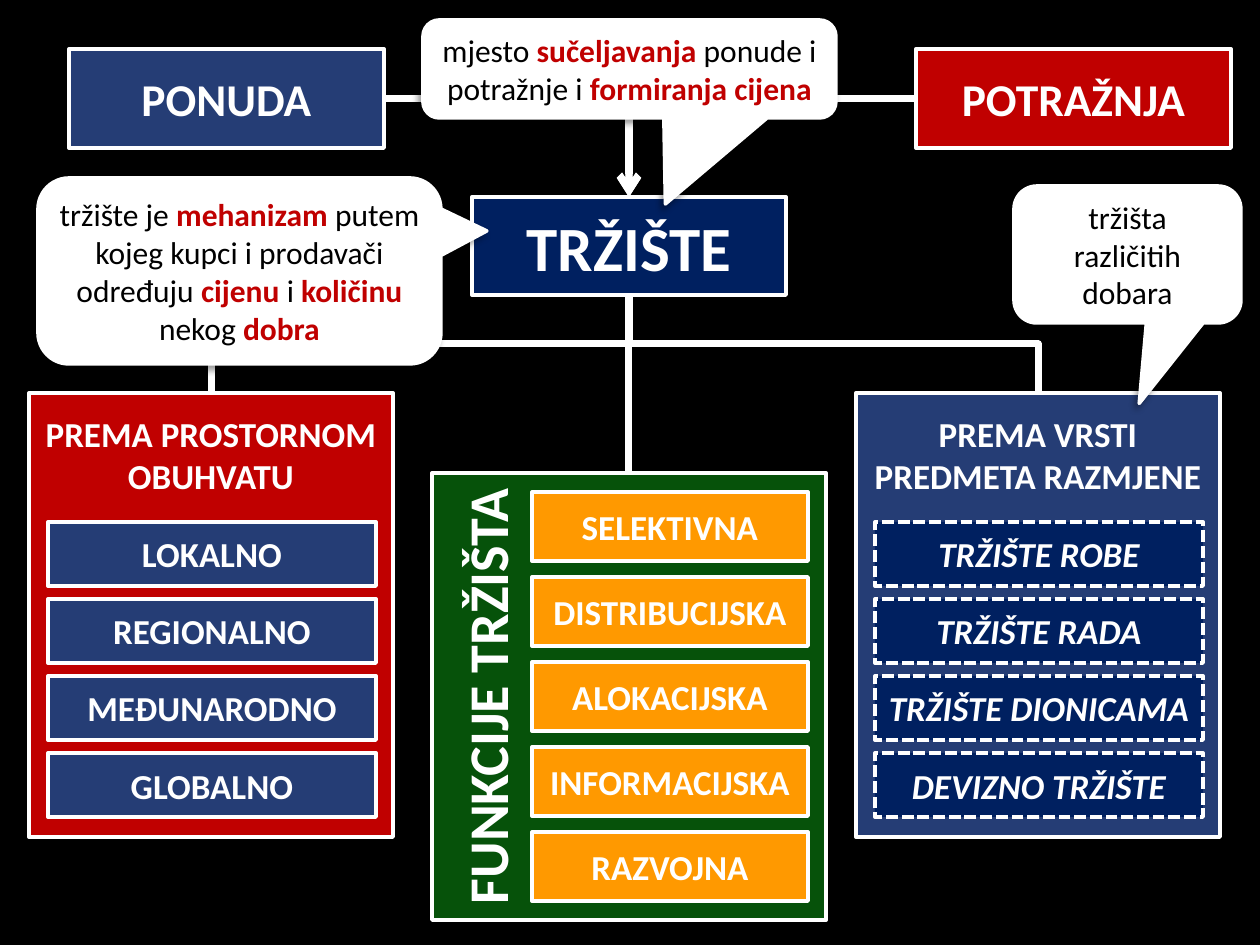
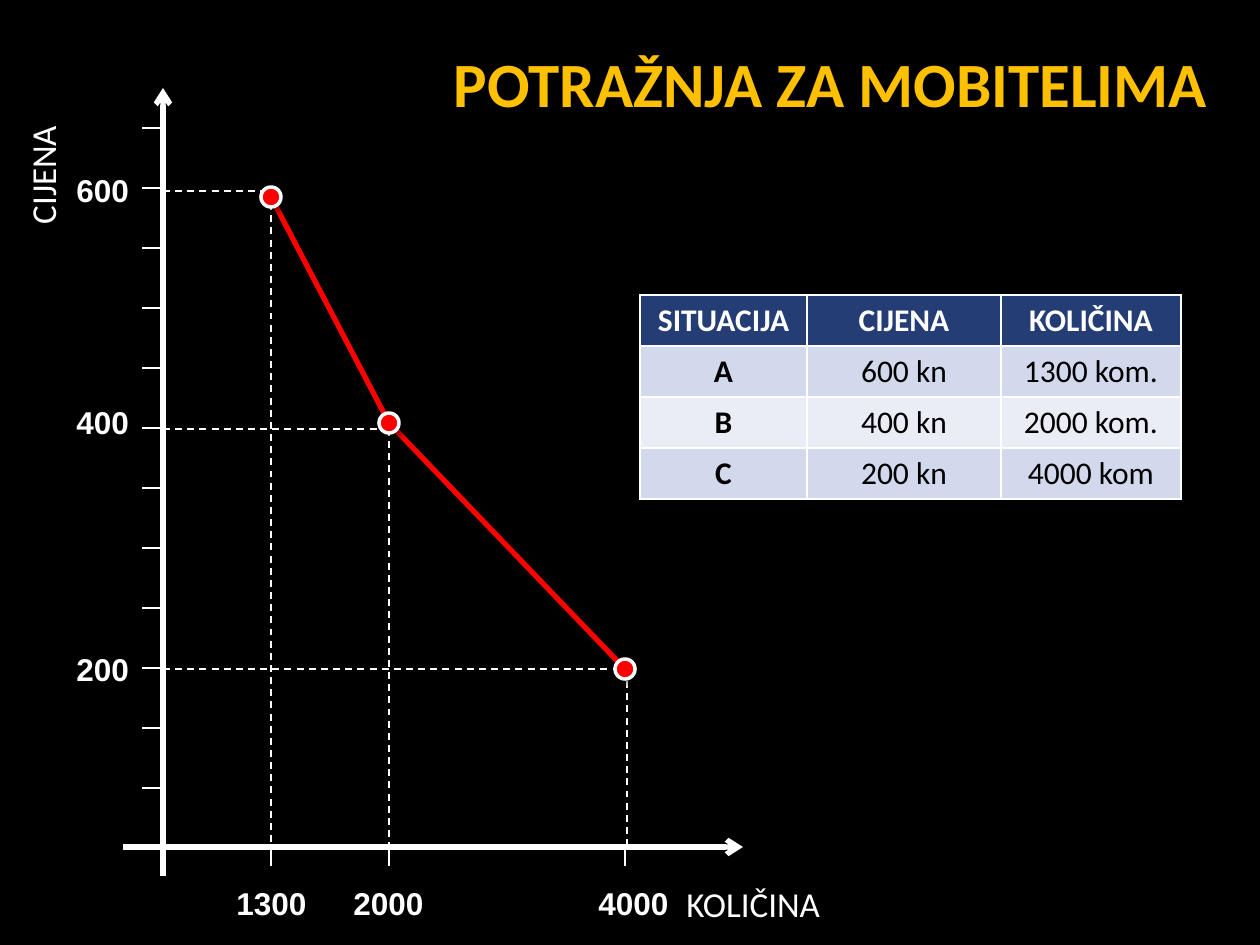
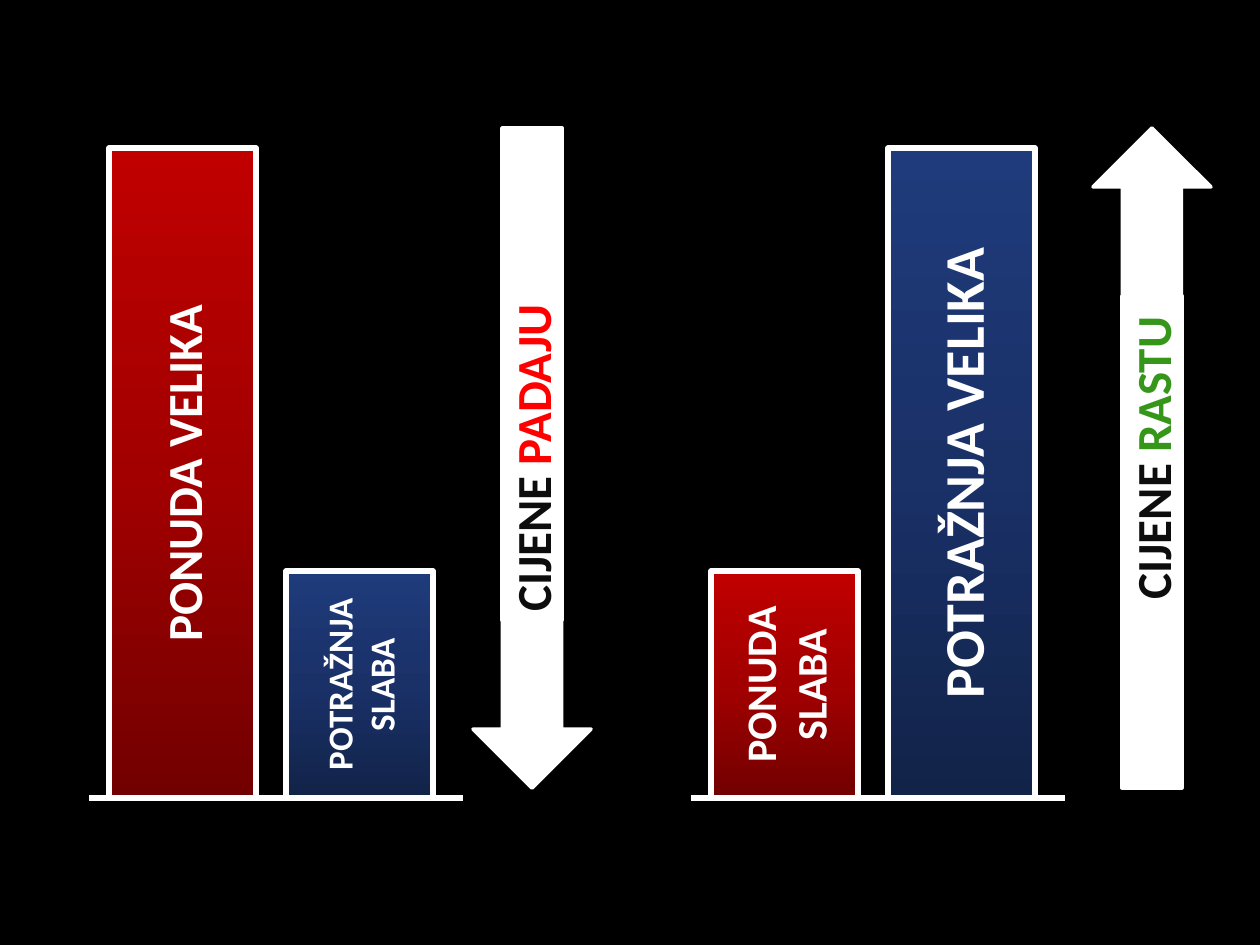
from dataclasses import dataclass, field

from lxml import etree
from pptx import Presentation
from pptx.dml.color import RGBColor
from pptx.enum.dml import MSO_LINE
from pptx.enum.shapes import MSO_CONNECTOR, MSO_SHAPE
from pptx.enum.text import MSO_ANCHOR, PP_ALIGN
from pptx.oxml.ns import qn
from pptx.util import Emu, Pt

EMU_PER_PX = 914400 / 126
TITLE_ONLY, BLANK = 5, 6
TOP, LEFT, BOTTOM, RIGHT = range(4)

STRAIGHT, ELBOW = MSO_CONNECTOR.STRAIGHT, MSO_CONNECTOR.ELBOW
RECTANGLE, OVAL = MSO_SHAPE.RECTANGLE, MSO_SHAPE.OVAL
CALLOUT = MSO_SHAPE.ROUNDED_RECTANGULAR_CALLOUT
UP_ARROW, DOWN_ARROW = MSO_SHAPE.UP_ARROW, MSO_SHAPE.DOWN_ARROW
DASH, SHORT_DASH = MSO_LINE.DASH, MSO_LINE.SQUARE_DOT
ALIGN_LEFT, ALIGN_CENTER, ALIGN_RIGHT = PP_ALIGN.LEFT, PP_ALIGN.CENTER, PP_ALIGN.RIGHT
ANCHOR_TOP, ANCHOR_MIDDLE = MSO_ANCHOR.TOP, MSO_ANCHOR.MIDDLE

BLACK, WHITE, INK = "000000", "FFFFFF", "0D0D0D"
BLUE, NAVY, RED, GREEN, ORANGE = "253D75", "002060", "C00000", "06520A", "FF9900"
BRIGHT_RED, LEAF, GOLD = "FF0000", "35961A", "FFC000"
ROW_TINTS = ("D3D9ED", "EAEDF6")
RED_STOPS = ("720000", "A20000", "C00000")
BLUE_STOPS = ("122349", "1A3168", "1F3B7B")


@dataclass
class TextStyle:
    """Look of a text; accent colours every second piece between "|" marks."""
    size: int = 20
    color: str = WHITE
    bold: bool = True
    italic: bool = False
    name: str = "Calibri"
    accent: str = RED
    align: int = ALIGN_CENTER
    anchor: int = ANCHOR_MIDDLE
    upward: bool = False
    wrap: bool = True
    margins: dict = field(default_factory=dict)


@dataclass
class Block:
    left: int
    top: int
    width: int
    height: int
    fill: str | tuple = ""
    text: str = ""
    style: TextStyle = field(default_factory=TextStyle)
    shape: int = RECTANGLE
    border: float = 2.25
    dash: int | None = None
    shadow_angle: int | None = None
    adjustments: tuple = ()

    def frame(self) -> tuple:
        return tuple(emu(px) for px in (self.left, self.top, self.width, self.height))


@dataclass
class Group:
    """A panel and its evenly spaced items."""
    panel: Block
    first: Block
    pitch: int
    names: tuple


@dataclass
class Point:
    x: int
    y: int
    guide_x: int
    guide_y: int
    quantity: str
    quantity_left: int
    price: str
    price_top: int


def emu(px: float) -> Emu:
    return Emu(round(px * EMU_PER_PX))


def rgb(color: str) -> RGBColor:
    return RGBColor.from_string(color)


def set_all(target, values: dict) -> None:
    for name, value in values.items():
        setattr(target, name, value)


def write(frame, text: str, style: TextStyle) -> None:
    set_all(frame, {"word_wrap": style.wrap, "vertical_anchor": style.anchor})
    set_all(frame, {name: emu(px) for name, px in style.margins.items()})
    if style.upward:
        frame._txBody.bodyPr.set("vert", "vert270")
    para = frame.paragraphs[0]
    para.alignment = style.align
    for index, piece in enumerate(text.split("|")):
        accented = index % 2 == 1
        span = para.add_run()
        span.text = piece
        set_all(span.font, {"name": style.name, "size": Pt(style.size),
                            "bold": style.bold or accented, "italic": style.italic})
        span.font.color.rgb = rgb(style.accent if accented else style.color)


def style_line(line, color: str, width: float, dash: int | None = None) -> None:
    line.color.rgb = rgb(color)
    line.width = Pt(width)
    if dash is not None:
        line.dash_style = dash


def paint_gradient(shape, stops: tuple) -> None:
    """Spread the stops evenly from the bottom up."""
    shape.fill.gradient()
    shape.fill.gradient_angle = 90
    stop_list = shape._element.spPr.find(".//" + qn("a:gsLst"))
    for old in list(stop_list):
        stop_list.remove(old)
    for index, color in enumerate(stops):
        position = 100000 * index // (len(stops) - 1)
        stop = etree.SubElement(stop_list, qn("a:gs"), pos=str(position))
        etree.SubElement(stop, qn("a:srgbClr"), val=color)


def add_shadow(shape, angle: int) -> None:
    effects = shape._element.spPr.find(qn("a:effectLst"))
    shadow = etree.SubElement(effects, qn("a:outerShdw"), blurRad=str(Pt(4)), dist=str(Pt(3)),
                              dir=str(angle * 60000), algn="ctr", rotWithShape="0")
    color = etree.SubElement(shadow, qn("a:srgbClr"), val=BLACK)
    etree.SubElement(color, qn("a:alpha"), val="40000")


def draw_block(slide, block: Block):
    shape = slide.shapes.add_shape(block.shape, *block.frame())
    shape.shadow.inherit = False
    for index, value in enumerate(block.adjustments):
        shape.adjustments[index] = value
    if isinstance(block.fill, tuple):
        paint_gradient(shape, block.fill)
    else:
        shape.fill.solid()
        shape.fill.fore_color.rgb = rgb(block.fill)
    style_line(shape.line, WHITE, block.border, block.dash)
    if block.shadow_angle is not None:
        add_shadow(shape, block.shadow_angle)
    if block.text:
        write(shape.text_frame, block.text, block.style)
    return shape


def draw_text(slide, block: Block) -> None:
    box = slide.shapes.add_textbox(*block.frame())
    write(box.text_frame, block.text, block.style)


def finish_connector(connector, width: float, dash: int | None = None, arrow: bool = False) -> None:
    style_line(connector.line, WHITE, width, dash)
    properties = connector._element.spPr
    if arrow:
        etree.SubElement(properties.find(qn("a:ln")), qn("a:tailEnd"), type="arrow")
    etree.SubElement(properties, qn("a:effectLst"))


def draw_line(slide, start: tuple, end: tuple, width: float, **options) -> None:
    ends = [emu(px) for px in (*start, *end)]
    finish_connector(slide.shapes.add_connector(STRAIGHT, *ends), width, **options)


def join(slide, start, start_side: int, end, end_side: int, kind: int, arrow: bool = False):
    connector = slide.shapes.add_connector(kind, 0, 0, 0, 0)
    connector.begin_connect(start, start_side)
    connector.end_connect(end, end_side)
    finish_connector(connector, 4, arrow=arrow)
    return connector


def make_single_bend(connector) -> None:
    connector._element.spPr.find(qn("a:prstGeom")).set("prst", "bentConnector2")


def make_vertical(connector) -> None:
    """Turn an elbow by 90 degrees so that it leaves and arrives vertically."""
    begin_x, begin_y = connector.begin_x, connector.begin_y
    end_x, end_y = connector.end_x, connector.end_y
    middle_x, middle_y = (begin_x + end_x) // 2, (begin_y + end_y) // 2
    set_all(connector, {
        "begin_x": middle_x + begin_y - middle_y, "begin_y": middle_y - begin_x + middle_x,
        "end_x": middle_x + end_y - middle_y, "end_y": middle_y - end_x + middle_x})
    connector._element.spPr.find(qn("a:xfrm")).set("rot", "5400000")


def draw_group(slide, group: Group):
    panel = draw_block(slide, group.panel)
    first = group.first
    for index, name in enumerate(group.names):
        draw_block(slide, Block(first.left, first.top + index * group.pitch, first.width,
                                first.height, first.fill, name, first.style, dash=first.dash))
    return panel


def build_market(deck) -> None:
    slide = deck.slides.add_slide(deck.slide_layouts[BLANK])
    heading = TextStyle(26)
    panel_style = TextStyle(20, anchor=ANCHOR_TOP, margins={"margin_top": 20})
    functions_style = TextStyle(32, anchor=ANCHOR_TOP, upward=True, margins={
        "margin_left": 20, "margin_top": 13, "margin_right": 6, "margin_bottom": 13})

    supply = draw_block(slide, Block(69, 49, 315, 99, BLUE, "PONUDA", heading))
    demand = draw_block(slide, Block(916, 49, 315, 99, RED, "POTRAŽNJA", heading))
    market = draw_block(slide, Block(472, 197, 314, 98, NAVY, "TRŽIŠTE", TextStyle(36)))
    by_area, by_goods, functions = [draw_group(slide, group) for group in (
        Group(Block(29, 393, 364, 444, RED, "PREMA PROSTORNOM OBUHVATU", panel_style),
              Block(48, 522, 328, 64, BLUE), 77,
              ("LOKALNO", "REGIONALNO", "MEĐUNARODNO", "GLOBALNO")),
        Group(Block(856, 393, 364, 444, BLUE, "PREMA VRSTI PREDMETA RAZMJENE", panel_style),
              Block(875, 522, 328, 64, NAVY, style=TextStyle(italic=True), dash=SHORT_DASH), 77,
              ("TRŽIŠTE ROBE", "TRŽIŠTE RADA", "TRŽIŠTE DIONICAMA", "DEVIZNO TRŽIŠTE")),
        Group(Block(432, 473, 394, 447, GREEN, "FUNKCIJE TRŽIŠTA", functions_style),
              Block(532, 492, 276, 69, ORANGE), 85,
              ("SELEKTIVNA", "DISTRIBUCIJSKA", "ALOKACIJSKA", "INFORMACIJSKA", "RAZVOJNA")))]

    join(slide, market, BOTTOM, functions, TOP, STRAIGHT)
    for side_box, side in ((supply, RIGHT), (demand, LEFT)):
        make_single_bend(join(slide, side_box, side, market, TOP, ELBOW, arrow=True))
    for panel in (by_area, by_goods):
        make_vertical(join(slide, market, BOTTOM, panel, TOP, ELBOW))

    for frame, text, tip in (
            ((1014, 186, 227, 137), "tržišta različitih dobara", (0.052, 1.087)),
            ((38, 178, 403, 186), "tržište je |mehanizam |putem kojeg kupci i prodavači određuju "
             "|cijenu |i |količinu |nekog |dobra", (0.614, -0.215)),
            ((423, 20, 413, 98), "mjesto |sučeljavanja |ponude i potražnje i "
             "|formiranja cijena", (0.087, 1.378))):
        draw_block(slide, Block(*frame, WHITE, text, TextStyle(18, BLACK, bold=False), CALLOUT, 2,
                                shadow_angle=135, adjustments=(*tip, 0.167)))


def draw_demand_curve(slide) -> None:
    axis_x, axis_y = 163, 847
    points = (Point(271, 197, 271, 191, "1300", 224, "600", 165),
              Point(389, 423, 389, 429, "2000", 341, "400", 397),
              Point(625, 669, 627, 669, "4000", 586, "200", 644))
    number = TextStyle(18, name="Arial", align=ALIGN_LEFT, anchor=ANCHOR_TOP, wrap=False)

    draw_line(slide, (axis_x, 876), (axis_x, 88), 3, arrow=True)
    draw_line(slide, (123, axis_y), (743, axis_y), 3, arrow=True)
    for y in range(128, 800, 60):
        draw_line(slide, (axis_x, y), (142, y), 0.75)
    for start, end in zip(points, points[1:]):
        builder = slide.shapes.build_freeform(emu(start.x), emu(start.y))
        builder.add_line_segments([(emu(end.x), emu(end.y))], close=False)
        segment = builder.convert_to_shape()
        segment.shadow.inherit = False
        segment.fill.background()
        style_line(segment.line, BRIGHT_RED, 3)
    for point in points:
        corner = (point.guide_x, point.guide_y)
        draw_line(slide, (point.x, axis_y), (point.x, 866), 0.75)
        draw_line(slide, (axis_x, point.guide_y), corner, 1, dash=DASH)
        draw_line(slide, corner, (point.guide_x, axis_y), 1, dash=DASH)
        draw_block(slide, Block(point.x - 10, point.y - 10, 20, 20, BRIGHT_RED, shape=OVAL,
                                border=2, shadow_angle=45))
        draw_text(slide, Block(64, point.price_top, 78, 50, text=point.price, style=number))
        draw_text(slide, Block(point.quantity_left, 878, 96, 50, text=point.quantity,
                               style=number))


def draw_demand_table(slide) -> None:
    rows = (("SITUACIJA", "CIJENA", "KOLIČINA"), ("A", "600 kn", "1300 kom."),
            ("B", "400 kn", "2000 kom."), ("C", "200 kn", "4000 kom"))
    widths = (167, 194, 180)
    area = Block(640, 295, sum(widths), 51 * len(rows))
    table = slide.shapes.add_table(len(rows), len(widths), *area.frame()).table
    for column, width in zip(table.columns, widths):
        column.width = emu(width)
    for row_index, row in enumerate(rows):
        header = row_index == 0
        for column_index, text in enumerate(row):
            cell = table.cell(row_index, column_index)
            cell.fill.solid()
            cell.fill.fore_color.rgb = rgb(BLUE if header else ROW_TINTS[(row_index - 1) % 2])
            write(cell.text_frame, text, TextStyle(18, WHITE if header else BLACK,
                                                   bold=header or column_index == 0,
                                                   anchor=ANCHOR_TOP))


def build_demand(deck) -> None:
    slide = deck.slides.add_slide(deck.slide_layouts[TITLE_ONLY])
    title = slide.shapes.title
    frame = Block(393, 38, 827, 120).frame()
    set_all(title, dict(zip(("left", "top", "width", "height"), frame)))
    write(title.text_frame, "POTRAŽNJA ZA MOBITELIMA",
          TextStyle(36, GOLD, align=ALIGN_RIGHT, anchor=ANCHOR_TOP))
    for area, name, upward in (((15, 108, 55, 129), "CIJENA", True),
                               ((674, 876, 305, 55), "KOLIČINA", False)):
        draw_text(slide, Block(*area, text=name, style=TextStyle(
            bold=False, align=ALIGN_LEFT, anchor=ANCHOR_TOP, upward=upward)))
    draw_demand_curve(slide)
    draw_demand_table(slide)


def draw_bar(slide, left: int, height: int, stops: tuple, text: str, size: int) -> None:
    draw_block(slide, Block(left, 798 - height, 147, height, stops, text,
                            TextStyle(size, upward=True), border=3, shadow_angle=45))


def draw_price_arrow(slide, left: int, rising: bool, text: str, accent: str) -> None:
    shaft_top, head_top = (296, 128) if rising else (128, 608)
    head = UP_ARROW if rising else DOWN_ARROW
    draw_block(slide, Block(left + 29, shaft_top, 60, 492, WHITE, border=2))
    draw_block(slide, Block(left, head_top, 118, 180, WHITE, shape=head, border=2))
    draw_text(slide, Block(left + 23, 128, 72, 660, text=text, style=TextStyle(
        28, INK, accent=accent, anchor=ANCHOR_TOP, upward=True)))


def build_prices(deck) -> None:
    slide = deck.slides.add_slide(deck.slide_layouts[BLANK])
    tall, low = 650, 227
    draw_bar(slide, 109, tall, RED_STOPS, "PONUDA VELIKA", 28)
    draw_bar(slide, 286, low, BLUE_STOPS, "POTRAŽNJA SLABA", 20)
    draw_bar(slide, 711, low, RED_STOPS, "PONUDA SLABA", 24)
    draw_bar(slide, 888, tall, BLUE_STOPS, "POTRAŽNJA VELIKA", 32)
    for left in (89, 691):
        draw_line(slide, (left, 798), (left + 374, 798), 3)
    draw_price_arrow(slide, 473, False, "CIJENE |PADAJU", BRIGHT_RED)
    draw_price_arrow(slide, 1093, True, "CIJENE |RASTU", LEAF)


def main() -> None:
    deck = Presentation()
    set_all(deck, {"slide_width": emu(1260), "slide_height": emu(945)})
    background = deck.slide_master.background.fill
    background.solid()
    background.fore_color.rgb = rgb(BLACK)
    for build in (build_market, build_demand, build_prices):
        build(deck)
    deck.save("out.pptx")


if __name__ == "__main__":
    main()
